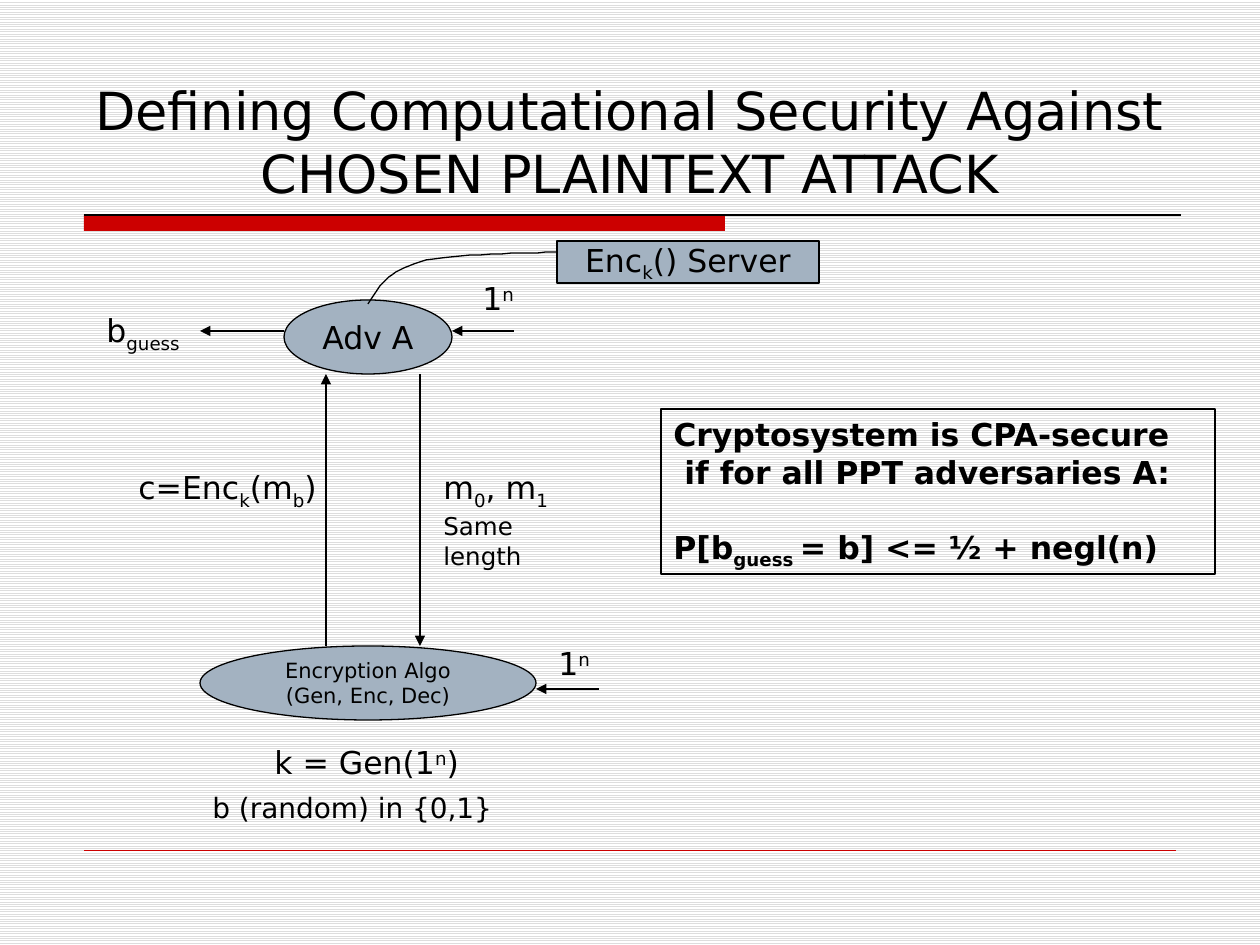
from pptx import Presentation
from pptx.dml.color import RGBColor
from pptx.enum.dml import MSO_PATTERN
from pptx.enum.shapes import MSO_CONNECTOR, MSO_SHAPE as Shape
from pptx.enum.text import MSO_ANCHOR as Anchor, MSO_AUTO_SIZE as Fit, PP_ALIGN as Align
from pptx.oxml.ns import qn
from pptx.util import Pt
from lxml.etree import SubElement

SCALE = 914400 / 126  # EMU in one px
BLACK = RGBColor(0x00, 0x00, 0x00)
WHITE = RGBColor(0xFF, 0xFF, 0xFF)
GREY = RGBColor(0xDD, 0xDD, 0xDD)
RED = RGBColor(0xCC, 0x00, 0x00)
STEEL = RGBColor(0xA3, 0xB2, 0xC1)
FONT = "DejaVu Sans"
SUB, SUP = -25000, 30000


def px(*vals):
    return [round(v * SCALE) for v in vals]


def put(obj, **vals):
    for name, val in vals.items():
        setattr(obj, name, val)


def paint(shape, fill=None, line=BLACK, width=0.75):
    shape.shadow.inherit = False
    if fill is None:
        shape.fill.background()
    else:
        shape.fill.solid()
        shape.fill.fore_color.rgb = fill
    if line is None:
        shape.line.fill.background()
    else:
        shape.line.color.rgb = line
        shape.line.width = Pt(width)


def write(shape, paras, size=18, bold=False, align=Align.LEFT, **frame):
    """Each paragraph is a list of runs: a string, or (string, shift)."""
    text = shape.text_frame
    put(text, **{"word_wrap": False, **frame})
    for i, runs in enumerate(paras):
        para = text.paragraphs[0] if i == 0 else text.add_paragraph()
        para.alignment = align
        for item in runs:
            words, shift = (item, 0) if isinstance(item, str) else item
            run = para.add_run()
            run.text = words
            put(run.font, name=FONT, size=Pt(size), bold=bold)
            run.font.color.rgb = BLACK
            if shift:
                run._r.get_or_add_rPr().set("baseline", str(shift))
    return text


def label(slide, box, paras, size=18, **frame):
    shape = slide.shapes.add_textbox(*px(*box))
    look = {"auto_size": Fit.SHAPE_TO_FIT_TEXT, **frame}
    return write(shape, paras, size, **look)


def node(slide, kind, box, paras, size=18):
    shape = slide.shapes.add_shape(kind, *px(*box))
    paint(shape, STEEL)
    write(shape, paras, size, align=Align.CENTER, vertical_anchor=Anchor.MIDDLE)


def rule(slide, ends, color=BLACK, width=0.75, head=False):
    line = slide.shapes.add_connector(MSO_CONNECTOR.STRAIGHT, *px(*ends))
    line.line.color.rgb = color
    line.line.width = Pt(width)
    if head:
        SubElement(line.line._get_or_add_ln(), qn("a:tailEnd"), type="triangle")
    SubElement(line._element.spPr, qn("a:effectLst"))


def bend(a, b, c, d, steps=16):
    """Points along a cubic curve, without its start."""
    for i in range(1, steps + 1):
        t = i / steps
        u = 1 - t
        yield tuple(u**3 * p + 3 * u * u * t * q + 3 * u * t * t * r + t**3 * s
                    for p, q, r, s in zip(a, b, c, d))


def curve(slide, start, *parts):
    form = slide.shapes.build_freeform(*start, scale=SCALE)
    for part in parts:
        form.add_line_segments(list(bend(start, *part)), close=False)
        start = part[-1]
    paint(form.convert_to_shape())


def frame(slide):
    # Striped background, title and rules
    fill = slide.background.fill
    fill.patterned()
    fill.pattern = MSO_PATTERN.LIGHT_HORIZONTAL
    fill.fore_color.rgb = GREY
    fill.back_color.rgb = WHITE
    bar = slide.shapes.add_shape(Shape.RECTANGLE, *px(84, 215, 641, 16))
    paint(bar, RED, None)
    rule(slide, (84, 215, 1181, 215))
    rule(slide, (84, 850, 1176, 850), RED, 0.25)
    label(slide, (79, 42, 1102, 168),
          [["Defining Computational Security Against CHOSEN PLAINTEXT ATTACK"]],
          30, align=Align.CENTER, word_wrap=True, auto_size=Fit.NONE,
          vertical_anchor=Anchor.BOTTOM)


def game(slide):
    # Parties
    node(slide, Shape.OVAL, (284, 300, 168, 74), [["Adv A"]])
    node(slide, Shape.OVAL, (200, 646, 336, 74),
         [["Encryption Algo"], ["(Gen, Enc, Dec)"]], 12)
    curve(slide, (368, 304), [(378, 287), (388, 271), (420, 262)],
          [(451, 253), (534, 253), (557, 252)])
    node(slide, Shape.RECTANGLE, (557, 241, 262, 42),
         [["Enc", ("k", SUB), "() Server"]])

    # Messages
    for ends in [(420, 374, 420, 646), (326, 646, 326, 374),
                 (514, 331, 452, 331), (284, 331, 200, 331),
                 (599, 689, 536, 689)]:
        rule(slide, ends, head=True)

    # Labels
    for box in [(470, 273, 59, 50), (546, 638, 59, 50)]:
        label(slide, box, [["1", ("n", SUP)]])
    label(slide, (94, 305, 106, 50), [["b", ("guess", SUB)]])
    label(slide, (126, 462, 219, 50),
          [["c=Enc", ("k", SUB), "(m", ("b", SUB), ")"]])
    text = label(slide, (431, 462, 136, 110),
                 [["m", ("0", SUB), ", m", ("1", SUB)], ["Same"], ["length"]])
    for para in text.paragraphs[1:]:
        para.runs[0].font.size = Pt(14)
    label(slide, (262, 737, 217, 50), [["k = Gen(1", ("n", SUP), ")"]])
    label(slide, (200, 784, 323, 47), [["b (random) in {0,1}"]], 16)


def claim(slide):
    # Definition box
    box = slide.shapes.add_shape(Shape.RECTANGLE, *px(661, 409, 554, 165))
    paint(box)
    text = write(box, [["Cryptosystem is CPA-secure"],
                       [" if for all PPT adversaries A:"],
                       ["P[b", ("guess ", SUB), "= b] <= ½ + negl(n)"]],
                 bold=True, vertical_anchor=Anchor.TOP)
    text.paragraphs[-1].space_before = Pt(21)


def main():
    deck = Presentation()
    wide, high = px(1260, 945)
    put(deck, slide_width=wide, slide_height=high)
    slide = deck.slides.add_slide(deck.slide_layouts[6])
    frame(slide)
    game(slide)
    claim(slide)
    deck.save("out.pptx")


if __name__ == "__main__":
    main()
